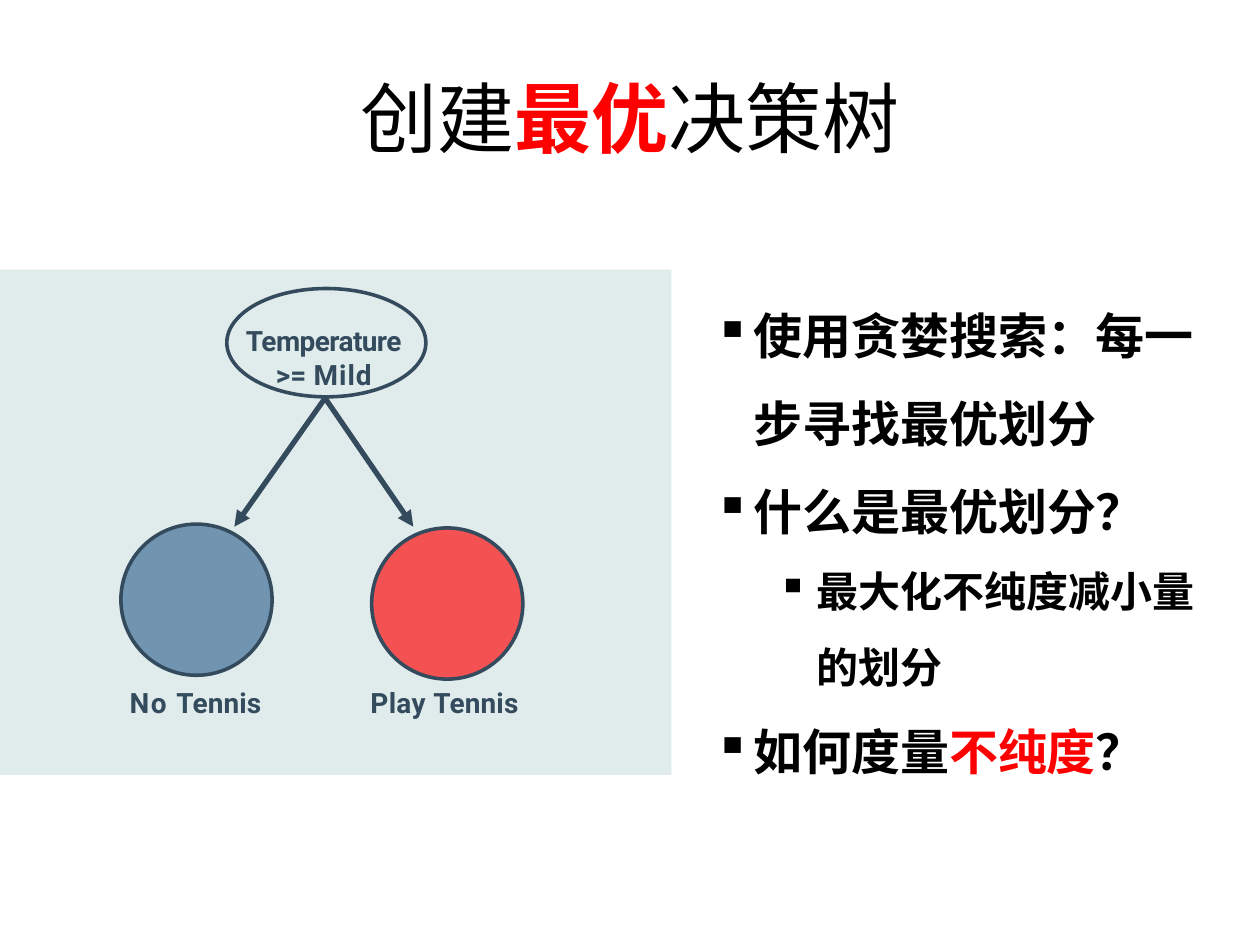
from lxml import etree
from pptx import Presentation
from pptx.dml.color import RGBColor
from pptx.enum.shapes import MSO_CONNECTOR as CONNECTOR, MSO_SHAPE as SHAPE
from pptx.enum.text import MSO_ANCHOR as ANCHOR, PP_ALIGN as ALIGN
from pptx.oxml.ns import qn
from pptx.util import Inches, Pt

NAVY, RED, BLACK = "344B5E", "FF0000", "000000"


def color(hex_code):
    return RGBColor.from_string(hex_code)


def add_shape(s, kind, box, fill=None, line=None, alpha=None):
    sp = s.shapes.add_shape(kind, *map(Inches, box))
    sp.shadow.inherit = False
    if fill:
        sp.fill.solid()
        sp.fill.fore_color.rgb = color(fill)
        if alpha:
            clr = sp.fill._xPr.find(".//" + qn("a:srgbClr"))
            etree.SubElement(clr, qn("a:alpha"), val=str(alpha * 1000))
    else:
        sp.fill.background()
    if line:
        sp.line.color.rgb = color(line)
        sp.line.width = Pt(2.04)
    else:
        sp.line.fill.background()


def add_arrow(s, start, end):
    c = s.shapes.add_connector(CONNECTOR.STRAIGHT, *map(Inches, start + end))
    c.line.color.rgb = color(NAVY)
    c.line.width = Pt(3)
    etree.SubElement(c.line._get_or_add_ln(), qn("a:tailEnd"), type="triangle")
    etree.SubElement(c._element.spPr, qn("a:effectLst"))


def add_text_box(s, box, top_inset=0.01):
    tf = s.shapes.add_textbox(*map(Inches, box)).text_frame
    tf.word_wrap = True
    tf.margin_left = tf.margin_right = tf.margin_bottom = 0
    tf.margin_top = Inches(top_inset)
    return tf


def next_paragraph(tf):
    """Use the empty first paragraph, or add one after the last."""
    p = tf.paragraphs[-1]
    return tf.add_paragraph() if p.runs else p


def add_run(p, text, size, hex_code, font="Roboto", bold=True, spacing=0):
    r = p.add_run()
    r.text = text
    r.font.size = Pt(size)
    r.font.name = font
    r.font.bold = bold
    r.font.color.rgb = color(hex_code)
    if spacing:
        r._r.get_or_add_rPr().set("spc", str(round(spacing * 100)))


def add_label(s, box, lines, align=ALIGN.LEFT):
    """Lines are lists of (text, letter spacing) runs."""
    tf = add_text_box(s, box)
    for runs in lines:
        p = next_paragraph(tf)
        p.alignment = align
        if p is tf.paragraphs[0] or len(tf.paragraphs) == 1:
            p.space_before = Pt(0.8)
        for text, spacing in runs:
            add_run(p, text, 16, NAVY, spacing=spacing)


def add_bullet(tf, runs, level=0):
    p = next_paragraph(tf)
    p.level = level
    p.line_spacing = 1.5
    pPr = p._p.get_or_add_pPr()
    pPr.set("marL", str(Inches(0.33 + 0.5 * level)))
    pPr.set("indent", str(Inches(-0.31)))
    etree.SubElement(pPr, qn("a:buChar"), char="▪")
    for text, hex_code in runs:
        add_run(p, text, 28 - 4 * level, hex_code)


def add_title(s):
    tf = add_text_box(s, (0.5, 0.3, 9, 1.25))
    tf.vertical_anchor = ANCHOR.MIDDLE
    p = tf.paragraphs[0]
    p.alignment = ALIGN.CENTER
    for text, hex_code, bold in (("创建", BLACK, False), ("最优", RED, True),
                                 ("决策树", BLACK, False)):
        add_run(p, text, 44, hex_code, "Calibri", bold)


def add_tree(s):
    add_shape(s, SHAPE.RECTANGLE, (0, 2.14, 5.33, 4.01), "E0EBEB")
    root = (2.58, 3.16)
    for tip_x in (1.86, 3.28):
        add_arrow(s, root, (tip_x, 4.18))
    add_shape(s, SHAPE.OVAL, (0.96, 4.16, 1.2, 1.2), "7195B0", NAVY)
    add_shape(s, SHAPE.OVAL, (2.95, 4.19, 1.2, 1.2), RED, NAVY, alpha=65)
    add_shape(s, SHAPE.OVAL, (1.8, 2.29, 1.58, 0.86), line=NAVY)
    add_label(s, (1.03, 5.43, 1.1, 0.28), [[("No ", 0.8), ("Tennis", 0.1)]])
    add_label(s, (2.94, 5.43, 1.25, 0.28), [[("Play ", 0.2), ("Tennis", 0.1)]])
    add_label(s, (1.85, 2.56, 1.44, 0.56),
              [[("Temperature", -0.3)], [(">= ", 0.1), ("Mild", 0.6)]],
              ALIGN.CENTER)


def add_points(s):
    tf = add_text_box(s, (5.65, 2.18, 3.85, 4))
    add_bullet(tf, [("使用贪婪搜索：每一步寻找最优划分", BLACK)])
    add_bullet(tf, [("什么是最优划分？", BLACK)])
    add_bullet(tf, [("最大化不纯度减小量的划分", BLACK)], level=1)
    add_bullet(tf, [("如何度量", BLACK), ("不纯度", RED), ("？", BLACK)])


def main():
    prs = Presentation()
    prs.slide_width, prs.slide_height = Inches(10), Inches(7.5)
    s = prs.slides.add_slide(prs.slide_layouts[6])
    add_title(s)
    add_tree(s)
    add_points(s)
    prs.save("out.pptx")


if __name__ == "__main__":
    main()
